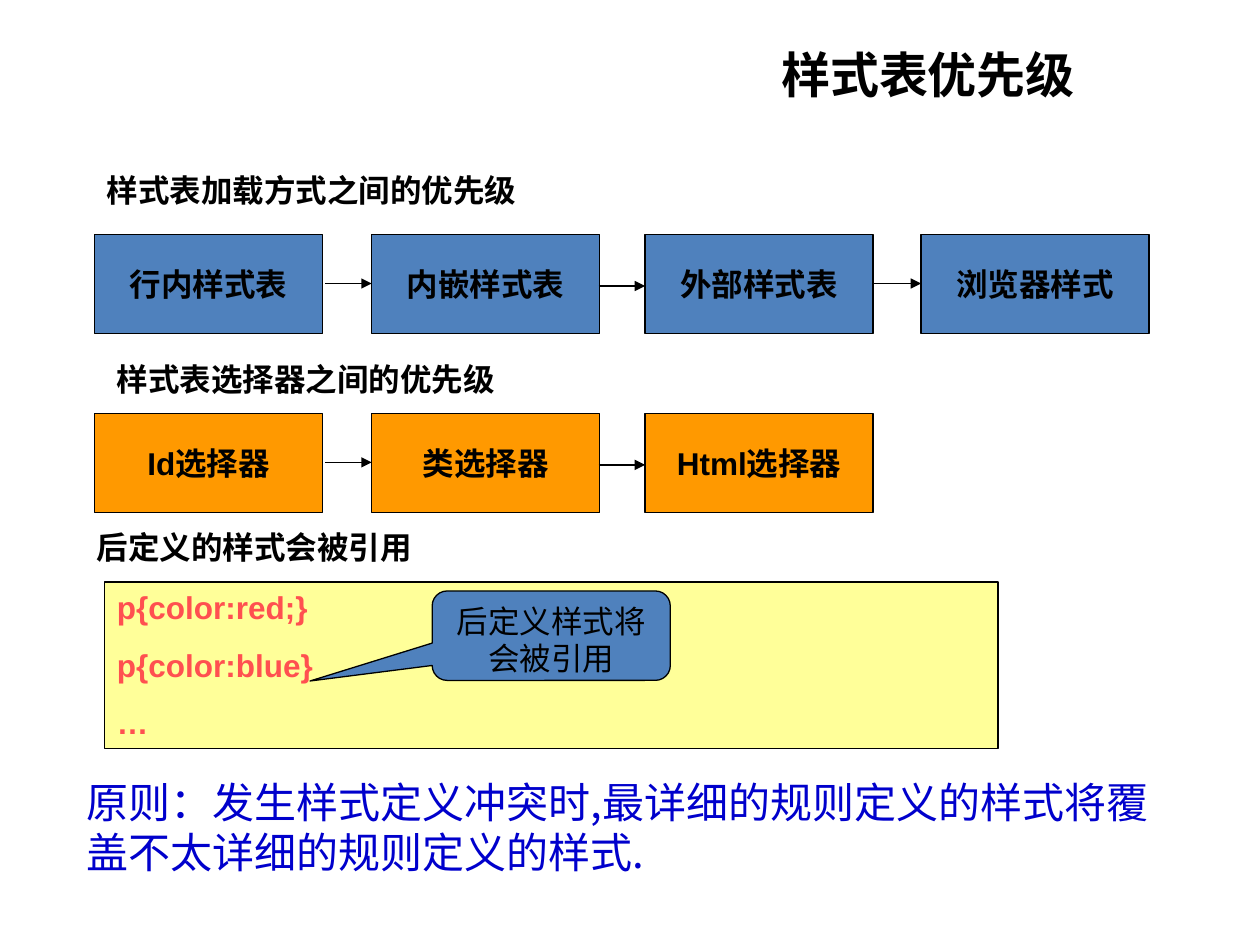
"""Build a slide on the precedence of style sheets."""
from lxml.etree import SubElement
from pptx import Presentation
from pptx.dml.color import RGBColor
from pptx.enum.shapes import MSO_CONNECTOR as CONN, MSO_SHAPE as SHAPE
from pptx.enum.text import MSO_ANCHOR as ANCHOR, PP_ALIGN as ALIGN
from pptx.oxml.ns import qn
from pptx.util import Inches, Pt

CJK = "Noto Sans CJK SC"
BLACK, BLUE, ORANGE = "000000", "4F81BD", "FF9900"
TITLE = "样式表优先级"
HEADINGS = [
    ("样式表加载方式之间的优先级", 0.75, 1.31),
    ("样式表选择器之间的优先级", 0.83, 2.81),
    ("后定义的样式会被引用", 0.67, 4.14),
]
CHAINS = [
    (1.86, BLUE, ["行内样式表", "内嵌样式表", "外部样式表", "浏览器样式"]),
    (3.28, ORANGE, ["Id选择器", "类选择器", "Html选择器"]),
]
BOX_LEFTS = [0.75, 2.95, 5.12, 7.31]
BOX_W, BOX_H = 1.81, 0.79
ARROW_W = 0.37
ARROW_DROPS = [0.39, 0.41, 0.39]
CODE = ["p{color:red;}", "p{color:blue}", "…"]
CALLOUT = "后定义样式将会被引用"
CALLOUT_ADJ = [-1.013, 0.507, 0.167]
PRINCIPLE = "原则：发生样式定义冲突时,最详细的规则定义的样式将覆盖不太详细的规则定义的样式."


def rgb(value):
    return RGBColor.from_string(value)


def write(sp, lines, color=BLACK, align=ALIGN.LEFT, anchor=ANCHOR.TOP, wrap=True, gap=0, **font):
    tf = sp.text_frame
    tf.word_wrap, tf.vertical_anchor = wrap, anchor
    for i, line in enumerate(lines):
        p = tf.paragraphs[0] if i == 0 else tf.add_paragraph()
        p.alignment = align
        p.space_before = Pt(gap if i else 0)
        r = p.add_run()
        r.text = line
        r.font.color.rgb = rgb(color)
        for key, value in {"size": Pt(18), "name": "Arial", "bold": True, **font}.items():
            setattr(r.font, key, value)
        SubElement(r.font._element, qn("a:ea"), typeface=CJK)


def add_text(s, at, text, **style):
    sp = s.shapes.add_textbox(*map(Inches, at))
    write(sp, [text], **style)


def add_box(s, kind, at, fill, lines, **style):
    sp = s.shapes.add_shape(kind, *map(Inches, at))
    sp.shadow.inherit = False
    sp.fill.solid()
    sp.fill.fore_color.rgb = rgb(fill)
    sp.line.color.rgb = rgb(BLACK)
    sp.line.width = Pt(0.75)
    write(sp, lines, **style)
    return sp


def add_arrow(s, left, right, y):
    line = s.shapes.add_connector(CONN.STRAIGHT, *map(Inches, (left, y, right, y)))
    line.line.color.rgb = rgb(BLACK)
    line.line.width = Pt(0.75)
    SubElement(line.line._get_or_add_ln(), qn("a:tailEnd"), type="triangle")
    SubElement(line._element.spPr, qn("a:effectLst"))


def main():
    prs = Presentation()
    prs.slide_width, prs.slide_height = Inches(10), Inches(7.5)
    s = prs.slides.add_slide(prs.slide_layouts[5])
    title = s.shapes.title
    title.left, title.top, title.width, title.height = map(Inches, (4.8, 0.31, 5.13, 0.55))
    write(title, [TITLE], align=ALIGN.CENTER, anchor=ANCHOR.MIDDLE, size=Pt(28), name=CJK)

    for text, left, top in HEADINGS:
        add_text(s, (left, top, 4.25, 0.4), text)
    for top, fill, labels in CHAINS:
        for left, label in zip(BOX_LEFTS, labels):
            add_box(s, SHAPE.RECTANGLE, (left, top, BOX_W, BOX_H), fill, [label],
                    align=ALIGN.CENTER, anchor=ANCHOR.MIDDLE, wrap=False)
        for right, drop in zip(BOX_LEFTS[1:len(labels)], ARROW_DROPS):
            add_arrow(s, right - ARROW_W, right, top + drop)

    add_box(s, SHAPE.RECTANGLE, (0.83, 4.62, 7.09, 1.32), "FFFF99", CODE, color="FF5050", gap=11.2)
    callout = add_box(s, SHAPE.ROUNDED_RECTANGULAR_CALLOUT, (3.43, 4.69, 1.89, 0.71), BLUE,
                      [CALLOUT], align=ALIGN.CENTER, bold=False)
    for i, value in enumerate(CALLOUT_ADJ):
        callout.adjustments[i] = value
    add_text(s, (0.59, 6.11, 8.82, 0.9), PRINCIPLE, color="0000CC", size=Pt(24), name=CJK, bold=False)
    prs.save("out.pptx")


if __name__ == "__main__":
    main()
